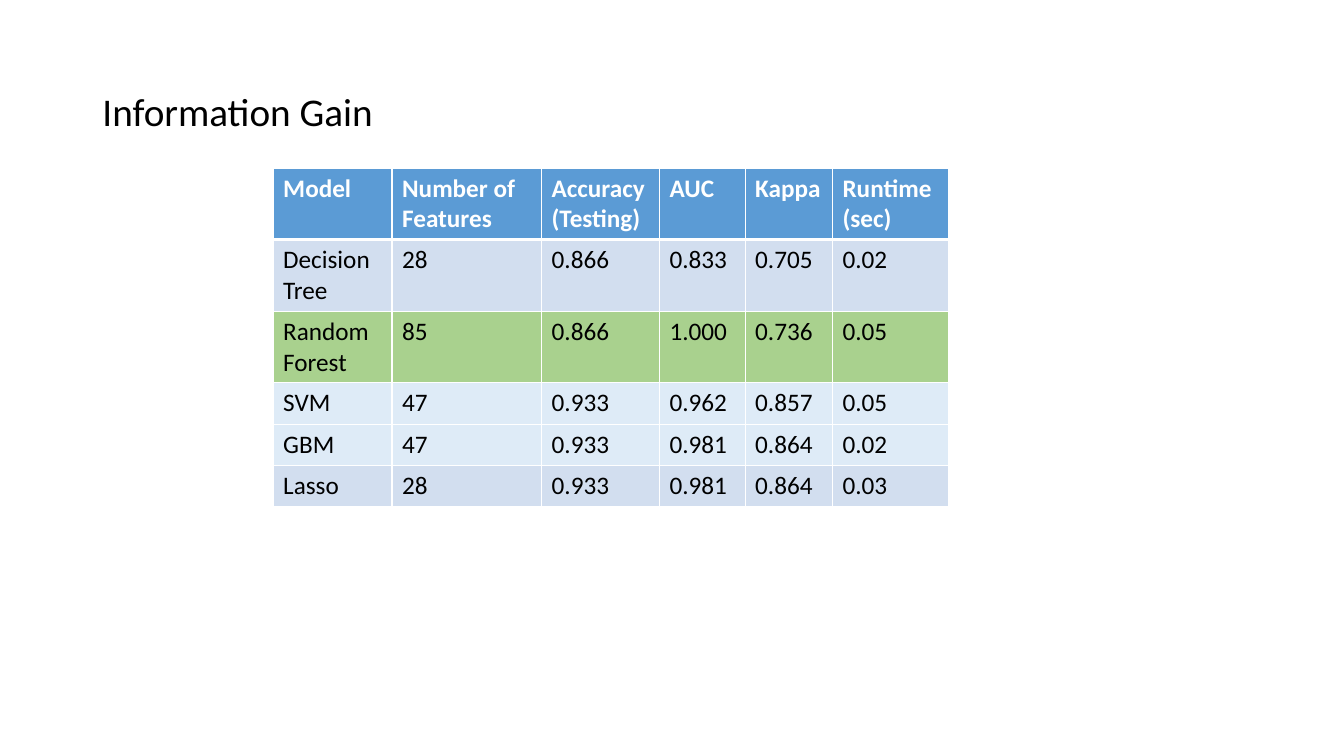
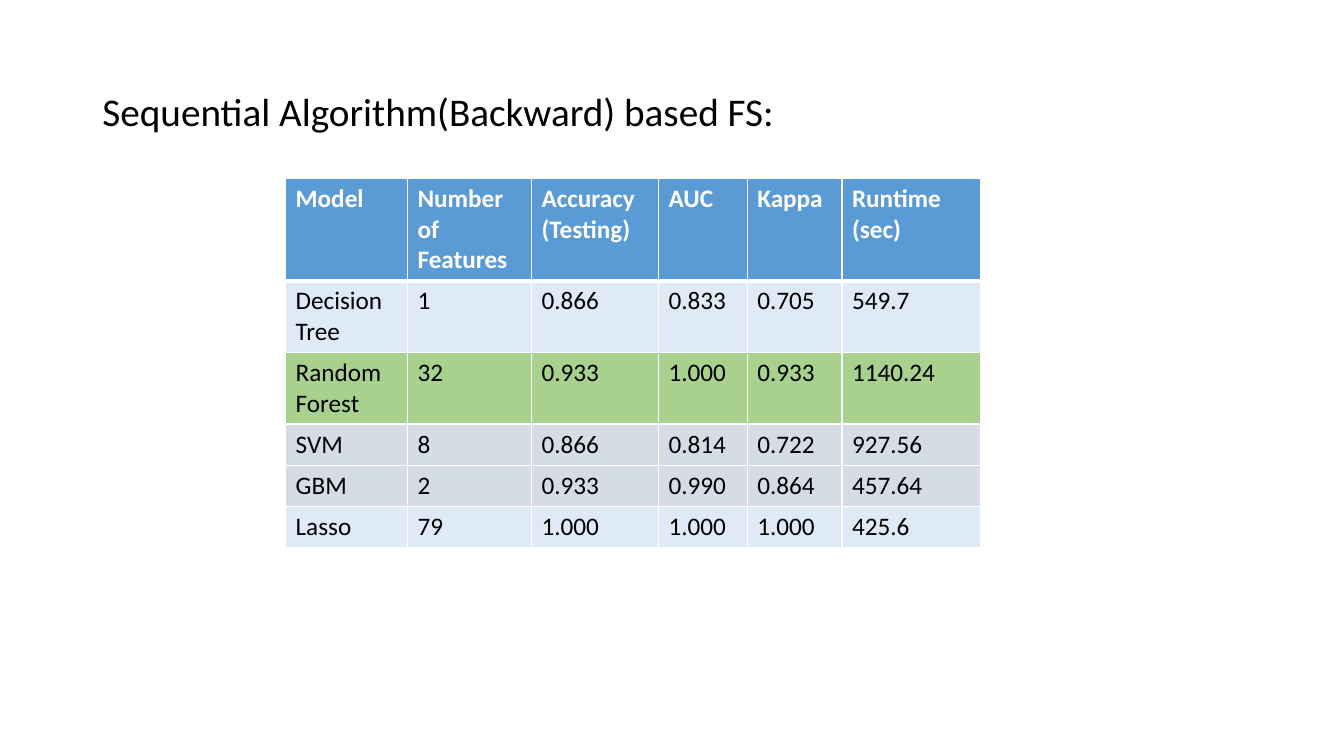
from lxml.etree import SubElement
from pptx import Presentation
from pptx.dml.color import RGBColor
from pptx.enum.text import MSO_ANCHOR as Anchor, MSO_AUTO_SIZE as AutoSize, PP_ALIGN as Align
from pptx.oxml.ns import qn
from pptx.util import Inches, Pt

GRID_COLUMNS, GRID_ROWS = 80, 45
UNIT = Inches(1) // 6
TITLE_BOX = (5.5, 2.4, 69, 8.7)
ROW_HEIGHT = 2.46
TITLE_ONLY = 5

WHITE, BLACK = "FFFFFF", "000000"
HEADER_BLUE, BEST_GREEN = "5B9BD5", "A9D18E"
PERIWINKLE, PALE_BLUE, PALE_GREY = "D2DEEF", "DEEBF7", "D6DCE5"

TITLE_FONT = {"name": "Calibri", "size": Pt(28), "bold": False}
HEADER_FONT = {"name": "Calibri", "size": Pt(18), "bold": True}
BODY_FONT = {**HEADER_FONT, "bold": False}
TITLE_FRAME = {"vertical_anchor": Anchor.MIDDLE, "auto_size": AutoSize.NONE, "word_wrap": True}
TITLE_PARAGRAPH = {"alignment": Align.LEFT, "line_spacing": 0.9}
TABLE_FLAGS = {"first_row": True, "horz_banding": False}

HEADINGS = ("Model", "Number of Features", "Accuracy (Testing)", "AUC", "Kappa", "Runtime (sec)")

RESULTS = [
    {
        "title": "Information Gain",
        "corner": (16.26, 10),
        "widths": (7.08, 8.9, 7.02, 5.1, 5.2, 6.9),
        "fills": (PERIWINKLE, BEST_GREEN, PALE_BLUE, PALE_BLUE, PERIWINKLE),
        "scores": (
            ("Decision Tree", "28", "0.866", "0.833", "0.705", "0.02"),
            ("Random Forest", "85", "0.866", "1.000", "0.736", "0.05"),
            ("SVM", "47", "0.933", "0.962", "0.857", "0.05"),
            ("GBM", "47", "0.933", "0.981", "0.864", "0.02"),
            ("Lasso", "28", "0.933", "0.981", "0.864", "0.03"),
        ),
    },
    {
        "title": "Sequential Algorithm(Backward) based FS:",
        "corner": (17, 10.62),
        "widths": (7.26, 7.38, 7.56, 5.28, 5.64, 8.28),
        "fills": (PALE_BLUE, BEST_GREEN, PALE_GREY, PALE_GREY, PALE_BLUE),
        "scores": (
            ("Decision Tree", "1", "0.866", "0.833", "0.705", "549.7"),
            ("Random Forest", "32", "0.933", "1.000", "0.933", "1140.24"),
            ("SVM", "8", "0.866", "0.814", "0.722", "927.56"),
            ("GBM", "2", "0.933", "0.990", "0.864", "457.64"),
            ("Lasso", "79", "1.000", "1.000", "1.000", "425.6"),
        ),
    },
]


def color(hex_value):
    return RGBColor.from_string(hex_value)


def units(*lengths):
    return [round(length * UNIT) for length in lengths]


def apply(target, values):
    for name, value in values.items():
        setattr(target, name, value)


def set_borders(cell, points_by_side):
    properties = cell._tc.get_or_add_tcPr()
    for position, (side, points) in enumerate(points_by_side.items()):
        line = SubElement(properties, qn(f"a:ln{side}"), w=str(Pt(points)))
        fill = SubElement(line, qn("a:solidFill"))
        SubElement(fill, qn("a:srgbClr"), val=WHITE)
        properties.insert(position, line)


def write_title(slide, text, box):
    title = slide.shapes.title
    apply(title, dict(zip(("left", "top", "width", "height"), units(*box))))
    frame = title.text_frame
    frame.text = text
    apply(frame, TITLE_FRAME)
    paragraph = frame.paragraphs[0]
    apply(paragraph, TITLE_PARAGRAPH)
    font = paragraph.runs[0].font
    apply(font, TITLE_FONT)
    font.color.rgb = color(BLACK)


def fill_cell(cell, text, background, row):
    is_header = row == 0
    cell.text = text
    cell.fill.solid()
    cell.fill.fore_color.rgb = color(background)
    font = cell.text_frame.paragraphs[0].runs[0].font
    apply(font, HEADER_FONT if is_header else BODY_FONT)
    font.color.rgb = color(WHITE if is_header else BLACK)
    set_borders(cell, {"L": 1, "R": 1, "T": 3 if row == 1 else 1, "B": 3 if is_header else 1})


def add_score_table(slide, corner, widths, fills, scores):
    rows = (HEADINGS, *scores)
    box = units(*corner, sum(widths), ROW_HEIGHT * len(rows))
    table = slide.shapes.add_table(len(rows), len(HEADINGS), *box).table
    apply(table, TABLE_FLAGS)
    for column, width in zip(table.columns, units(*widths)):
        column.width = width
    for row, (texts, background) in enumerate(zip(rows, (HEADER_BLUE, *fills))):
        for column, text in enumerate(texts):
            fill_cell(table.cell(row, column), text, background, row)


def add_result_slide(deck, title, **table_parts):
    slide = deck.slides.add_slide(deck.slide_layouts[TITLE_ONLY])
    write_title(slide, title, TITLE_BOX)
    add_score_table(slide, **table_parts)


def main():
    deck = Presentation()
    deck.slide_width, deck.slide_height = units(GRID_COLUMNS, GRID_ROWS)
    for result in RESULTS:
        add_result_slide(deck, **result)
    deck.save("out.pptx")


if __name__ == "__main__":
    main()
